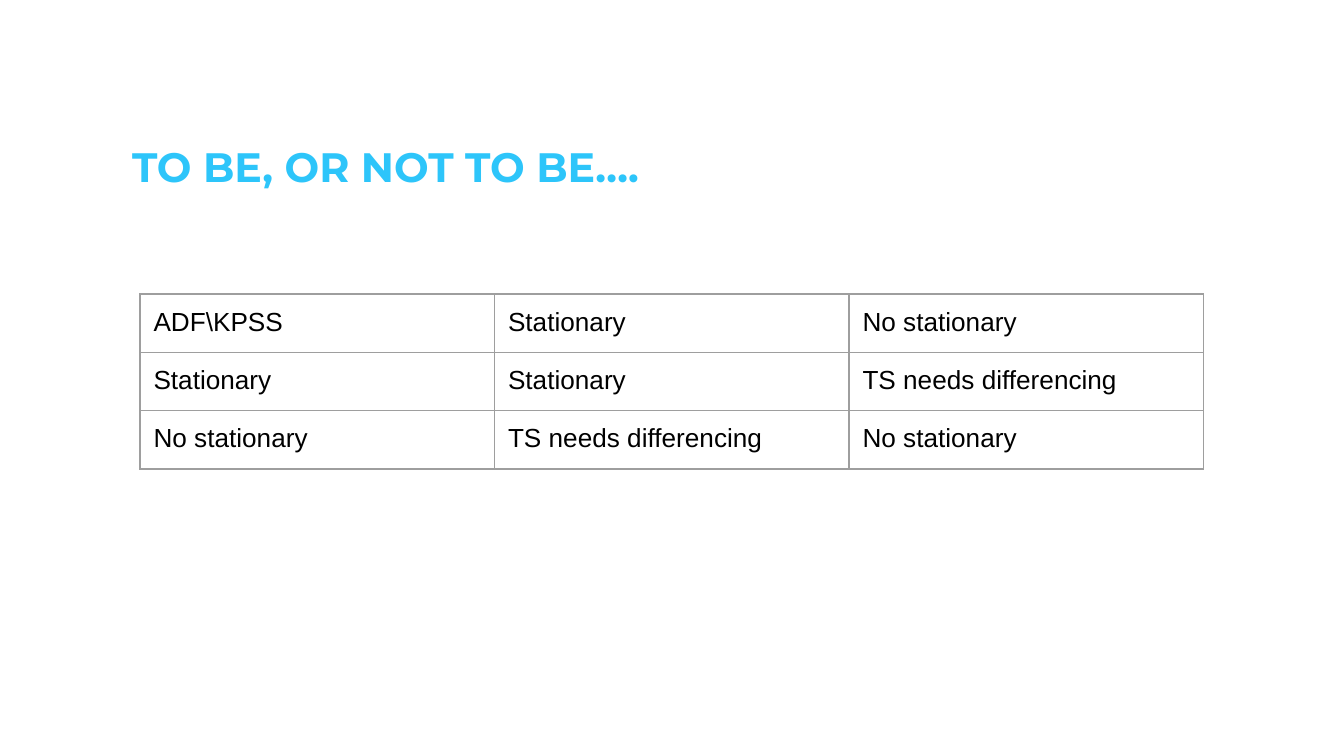
from typing import NamedTuple

from lxml import etree
from pptx import Presentation
from pptx.dml.color import RGBColor
from pptx.enum.text import MSO_ANCHOR
from pptx.oxml.ns import qn
from pptx.util import Inches, Pt

TOP = MSO_ANCHOR.TOP
WIDE = Inches(10)
HIGH = WIDE * 9 // 16
COL, ROW = WIDE / 100, HIGH / 100
PAD = Inches(0.1)
HUES = {"title": "2DC5FA", "text": "000000", "rule": "9E9E9E"}
TITLE = {"name": "Montserrat", "size": Pt(22), "bold": True}
BODY = {"name": "Arial", "size": Pt(14), "bold": False}
EDGES = ("a:lnL", "a:lnR", "a:lnT", "a:lnB")
SIDES = ("left", "right", "top", "bottom")
CELLS = (
    ("ADF\\KPSS", "Stationary", "No stationary"),
    ("Stationary", "Stationary", "TS needs differencing"),
    ("No stationary", "TS needs differencing", "No stationary"),
)


class Box(NamedTuple):
    left: float
    top: float
    width: float
    height: float

    def place(self) -> tuple[int, ...]:
        units = (COL, ROW, COL, ROW)
        return tuple(round(part * unit) for part, unit in zip(self, units))


def write(para, text: str, style: dict, hue: str) -> None:
    run = para.add_run()
    run.text = text
    for key, value in style.items():
        setattr(run.font, key, value)
    run.font.color.rgb = RGBColor.from_string(HUES[hue])


def pad(item) -> None:
    for side in SIDES:
        setattr(item, f"margin_{side}", PAD)


def rule(cell) -> None:
    props = cell._tc.get_or_add_tcPr()
    for edge in EDGES:
        line = etree.SubElement(props, qn(edge), w=str(Pt(0.75)))
        fill = etree.SubElement(line, qn("a:solidFill"))
        etree.SubElement(fill, qn("a:srgbClr"), val=HUES["rule"])


def add_title(slide, text: str, box: Box) -> None:
    frame = slide.shapes.add_textbox(*box.place()).text_frame
    frame.word_wrap = True
    frame.vertical_anchor = TOP
    pad(frame)
    para = frame.paragraphs[0]
    para.space_after = Pt(16)
    write(para, text, TITLE, "title")


def add_grid(slide, rows: tuple, box: Box, wide: float, high: float) -> None:
    holder = slide.shapes.add_table(len(rows), len(rows[0]), *box.place())
    table = holder.table
    table.first_row = table.horz_banding = False
    for col in table.columns:
        col.width = round(wide * COL)
    for row in table.rows:
        row.height = round(high * ROW)
    holder.width, holder.height = box.place()[2:]
    for r, texts in enumerate(rows):
        for c, text in enumerate(texts):
            cell = table.cell(r, c)
            pad(cell)
            cell.vertical_anchor = TOP
            rule(cell)
            cell.fill.background()
            write(cell.text_frame.paragraphs[0], text, BODY, "text")


def main() -> None:
    deck = Presentation()
    deck.slide_width, deck.slide_height = WIDE, HIGH
    slide = deck.slides.add_slide(deck.slide_layouts[6])
    add_title(slide, "TO BE, OR NOT TO BE….", Box(8.84, 17, 80.1, 11))
    add_grid(slide, CELLS, Box(10.42, 38.9, 32.8, 58.3), 26.38, 7.41)
    deck.save("out.pptx")


if __name__ == "__main__":
    main()
